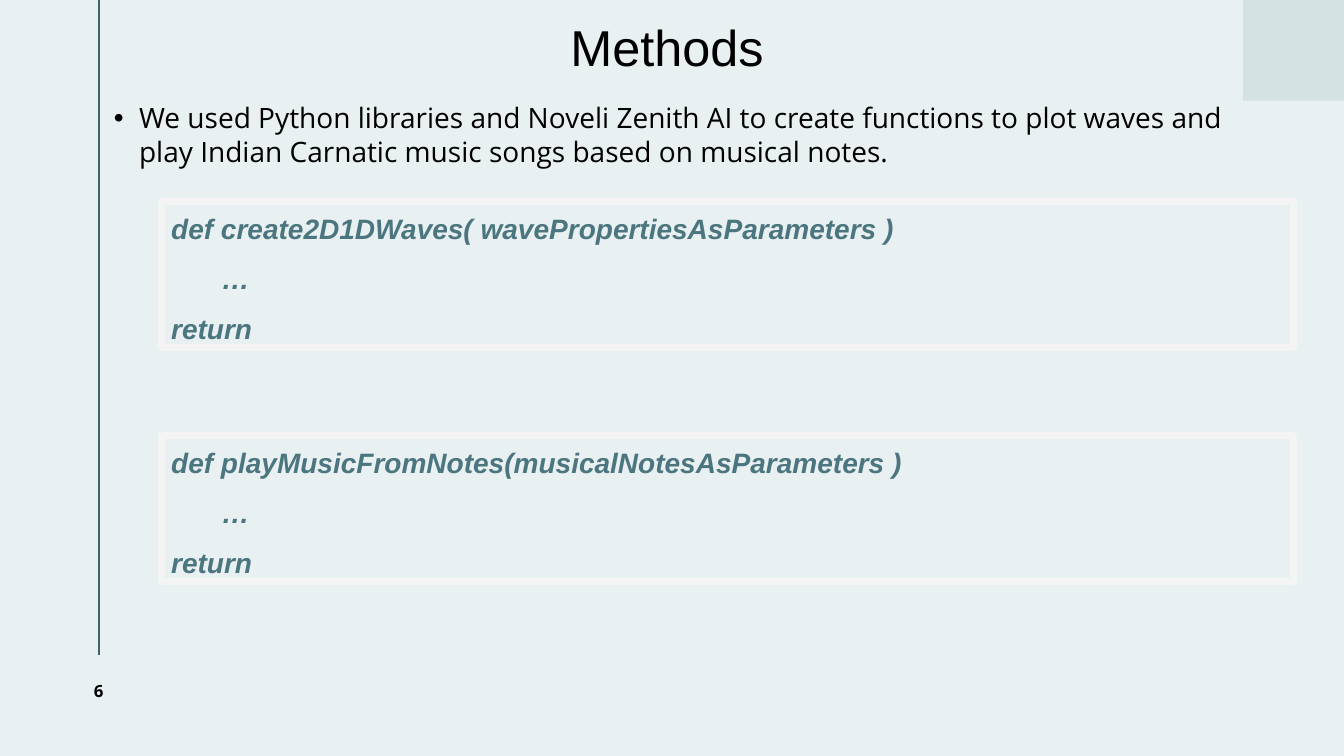
from pptx import Presentation
from pptx.dml.color import RGBColor
from pptx.enum.shapes import MSO_CONNECTOR as Connector, MSO_SHAPE as Shape
from pptx.enum.text import MSO_ANCHOR as Anchor, MSO_AUTO_SIZE as AutoSize, PP_ALIGN as Align
from pptx.oxml.ns import qn
from pptx.util import Pt
from lxml.etree import SubElement

TITLE = "Methods"
SUMMARY = ("We used Python libraries and Noveli Zenith AI to create functions to plot "
           "waves and play Indian Carnatic music songs based on musical notes.")
PAGE_NUMBER = "6"
SIGNATURES = [
    "def create2D1DWaves( wavePropertiesAsParameters )",
    "def playMusicFromNotes(musicalNotesAsParameters )",
]
FUNCTION_BODY = ["\t…", "return"]

THEME = {
    "background": "E9F0F1", "rule": "3F636A", "corner": "D4E2E4", "frame": "F5F4F4",
    "title": {"name": "Arial", "size": 36, "color": "000000"},
    "summary": {"name": "Open Sans", "size": 20, "color": "000000"},
    "number": {"name": "Open Sans", "size": 12, "color": "000000", "bold": True},
    "code": {"name": "Arial", "size": 20, "color": "4B7680", "bold": True, "italic": True},
}

WIDTH, HEIGHT = 960, 540
RULE_X, RULE_END = 70.56, 468
CORNER = 72
CODE_LEFT, CODE_TOP, CODE_PITCH = 115.2, 144, 167.04
CODE_WIDTH, CODE_HEIGHT = 808.56, 104.4
BULLET_INDENT = 18


def rgb(name):
    return RGBColor.from_string(THEME.get(name, name))


def write(box, lines, style, insets, anchor=Anchor.TOP, **para_format):
    """Fill a shape with one paragraph per line, all in one theme style."""
    frame = box.text_frame
    frame.word_wrap = True
    frame.vertical_anchor = anchor
    for side, inset in zip(("left", "top", "right", "bottom"), insets):
        setattr(frame, f"margin_{side}", Pt(inset))
    for index, line in enumerate(lines):
        para = frame.add_paragraph() if index else frame.paragraphs[0]
        for key, value in para_format.items():
            setattr(para, key, value)
        if index:
            para.space_before = Pt(8)
        span = para.add_run()
        span.text = line
        for key, value in THEME[style].items():
            if key == "color":
                span.font.color.rgb = rgb(value)
            else:
                setattr(span.font, key, Pt(value) if key == "size" else value)
    return frame


def add_text(page, area, *args, **options):
    return write(page.shapes.add_textbox(*map(Pt, area)), *args, **options)


def add_rectangle(page, *area):
    box = page.shapes.add_shape(Shape.RECTANGLE, *map(Pt, area))
    box.shadow.inherit = False
    return box


def add_bullet(para):
    props = para._p.get_or_add_pPr()
    props.set("marL", str(Pt(BULLET_INDENT)))
    props.set("indent", str(-Pt(BULLET_INDENT)))
    color = SubElement(props, qn("a:buClr"))
    SubElement(color, qn("a:srgbClr"), val=THEME["summary"]["color"])
    SubElement(props, qn("a:buFont"), typeface="Arial")
    SubElement(props, qn("a:buChar"), char="•")


def add_decoration(page):
    rule = page.shapes.add_connector(
        Connector.STRAIGHT, Pt(RULE_X), Pt(0), Pt(RULE_X), Pt(RULE_END))
    rule.line.color.rgb = rgb("rule")
    rule.line.width = Pt(1.5)
    SubElement(rule._element.spPr, qn("a:effectLst"))
    corner = add_rectangle(page, WIDTH - CORNER, 0, CORNER, CORNER)
    corner.fill.solid()
    corner.fill.fore_color.rgb = rgb("corner")
    corner.line.fill.background()


def add_code(page, top, lines):
    box = add_rectangle(page, CODE_LEFT, top, CODE_WIDTH, CODE_HEIGHT)
    box.fill.background()
    box.line.color.rgb = rgb("frame")
    box.line.width = Pt(5)
    frame = write(box, lines, "code", (7.2, 3.6, 7.2, 3.6),
                  alignment=Align.JUSTIFY, line_spacing=1.15)
    frame.auto_size = AutoSize.SHAPE_TO_FIT_TEXT


def main():
    deck = Presentation()
    deck.slide_width, deck.slide_height = Pt(WIDTH), Pt(HEIGHT)
    page = deck.slides.add_slide(deck.slide_layouts[6])
    page.background.fill.solid()
    page.background.fill.fore_color.rgb = rgb("background")

    add_decoration(page)
    add_text(page, (0, 0, WIDTH, 72), [TITLE], "title", (0, 3.6, 7.2, 3.6),
             anchor=Anchor.MIDDLE, alignment=Align.CENTER, line_spacing=0.9)
    summary = add_text(page, (81.36, 72, 808.56, 87.84), [SUMMARY], "summary", (0, 0, 0, 0))
    add_bullet(summary.paragraphs[0])
    add_text(page, (32.4, 468, 76.32, 51.12), [PAGE_NUMBER], "number",
             (7.2, 3.6, 7.2, 3.6), anchor=Anchor.MIDDLE, alignment=Align.CENTER)
    for index, signature in enumerate(SIGNATURES):
        add_code(page, CODE_TOP + index * CODE_PITCH, [signature, *FUNCTION_BODY])

    deck.save("out.pptx")


if __name__ == "__main__":
    main()
